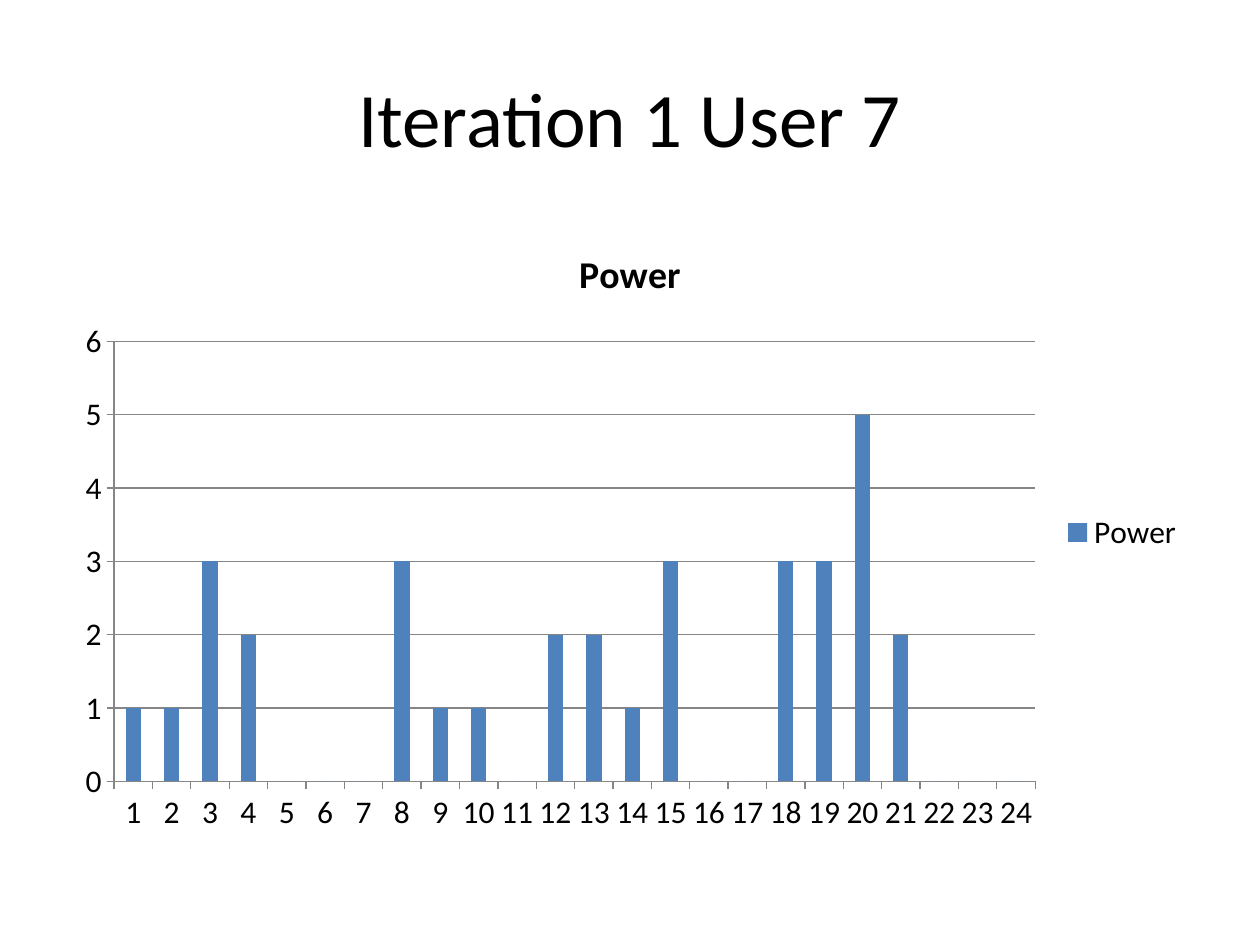
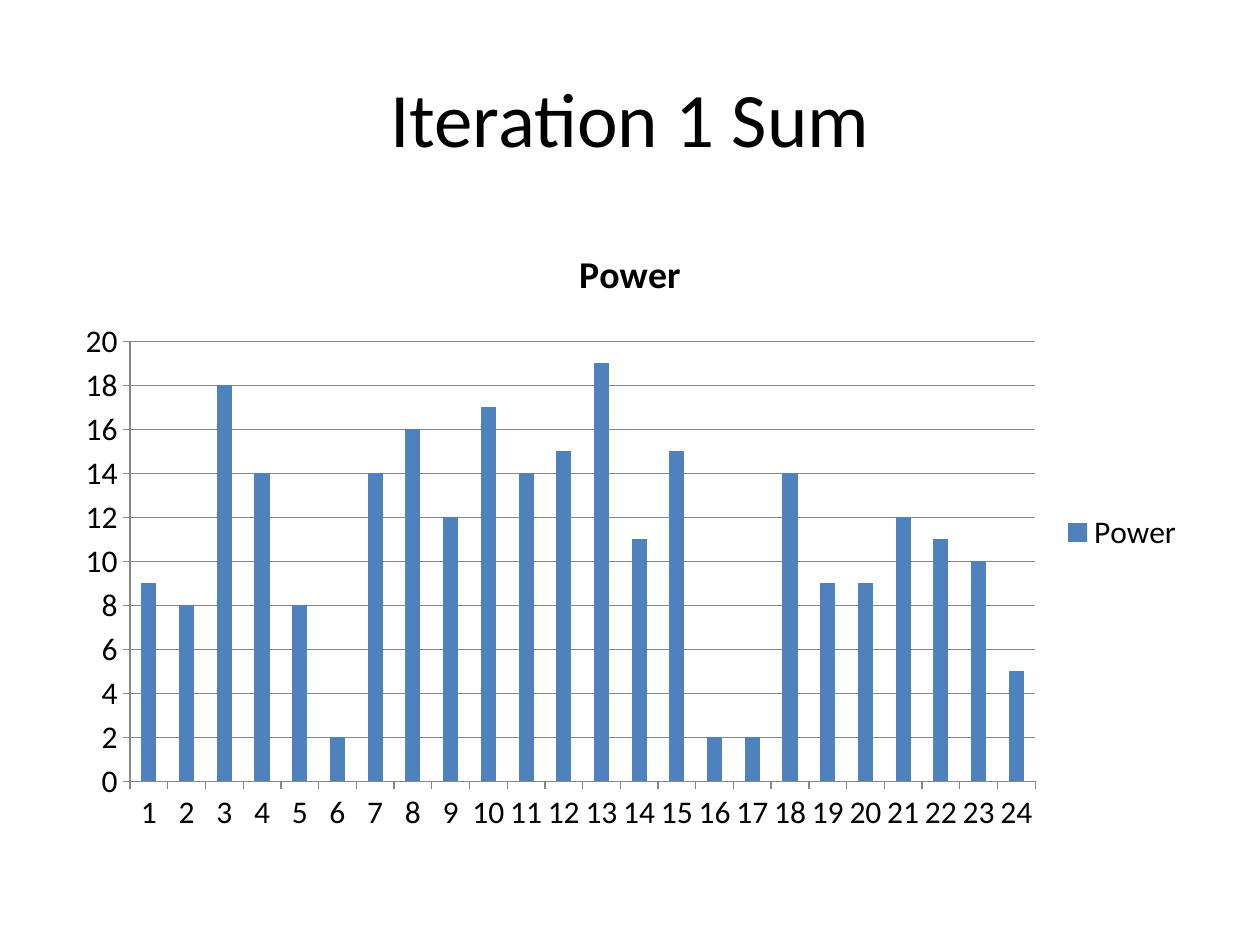
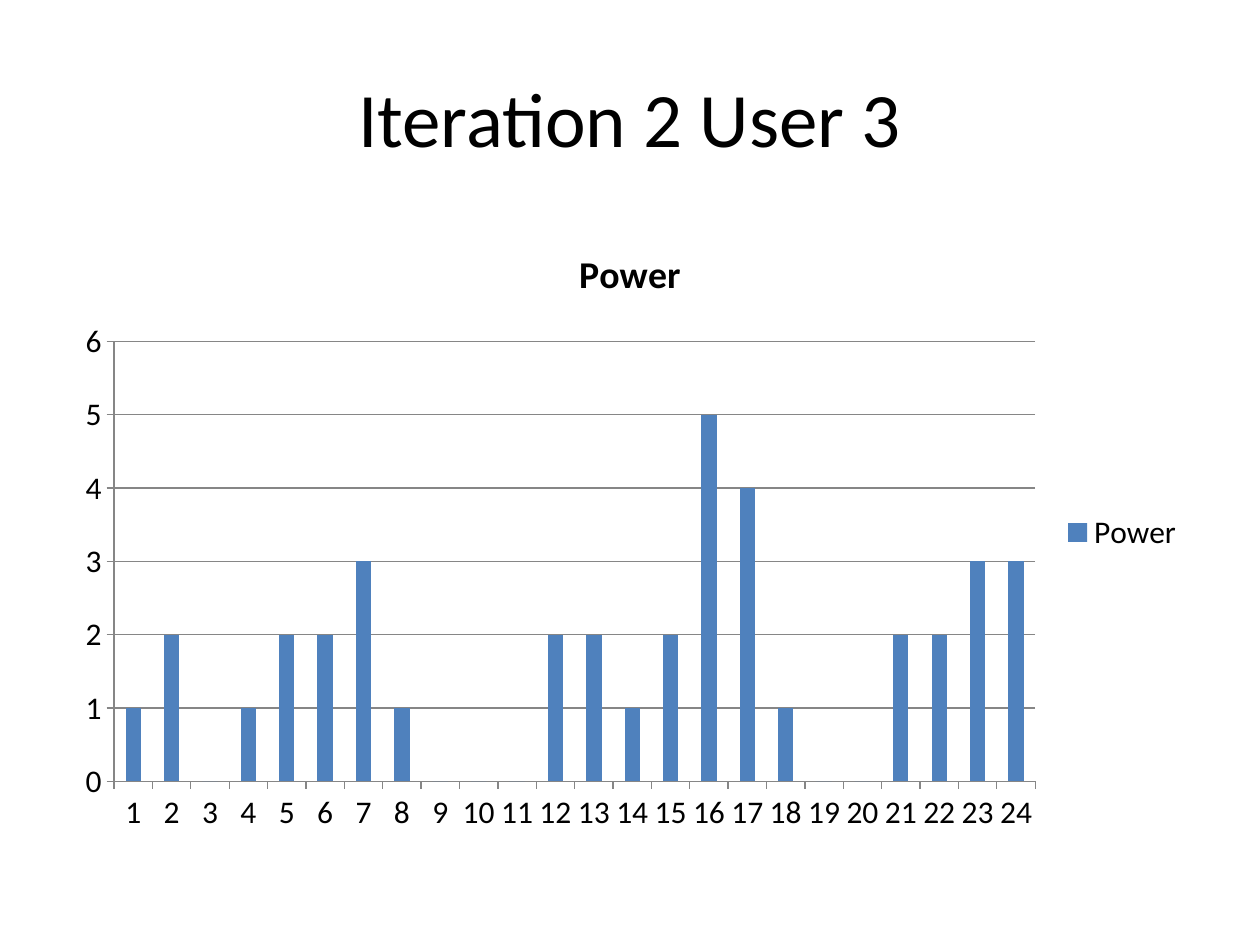
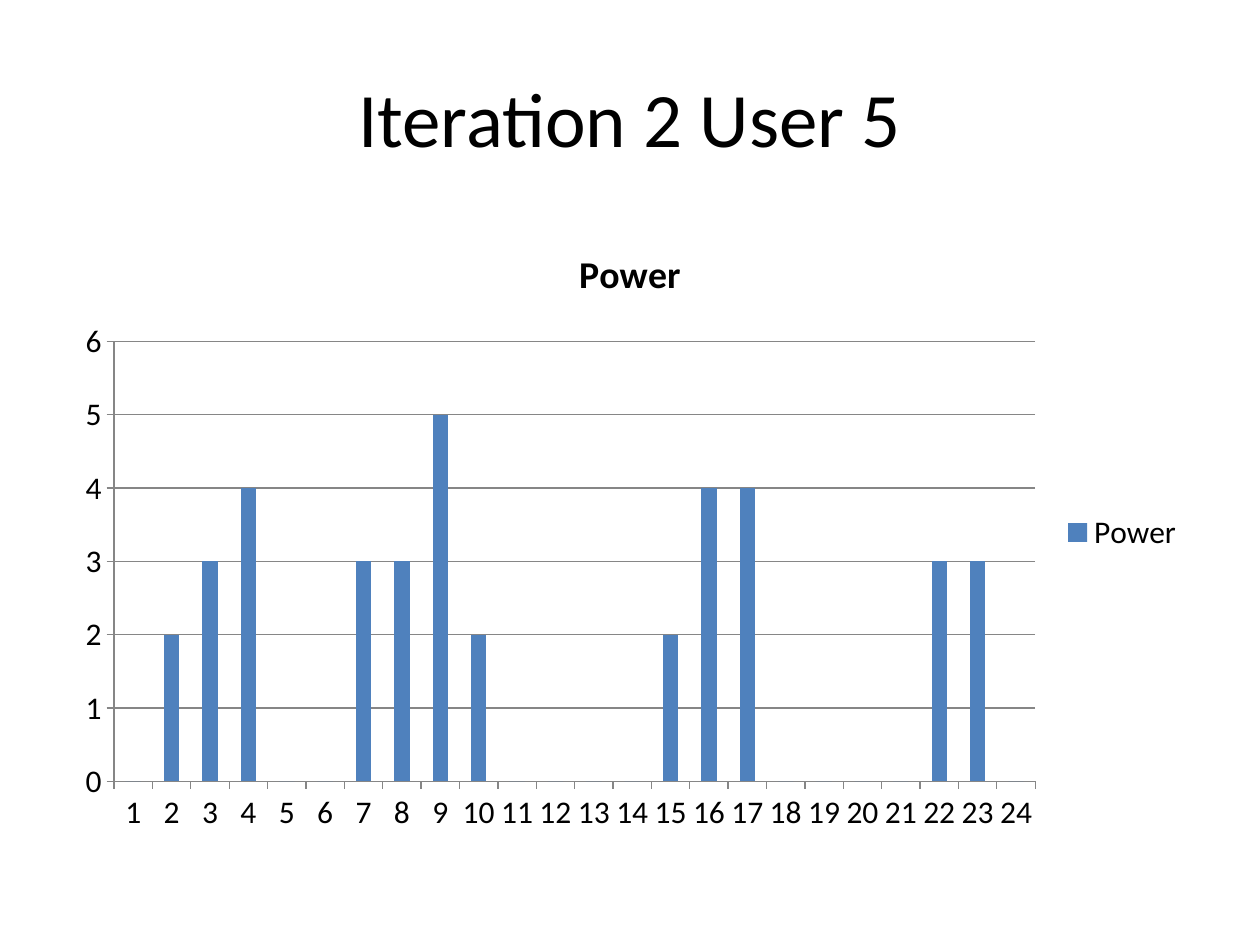
import pptx
import pptx.chart.data
import pptx.dml.color
import pptx.enum.chart
import pptx.enum.text
import pptx.util

Cm = pptx.util.Cm
Pt = pptx.util.Pt

COLORS = {"text": "000000", "bar": "4F81BD", "line": "868686", "back": "FFFFFF"}
FONT = "Calibri"
LEFT, WIDTH = Cm(1.27), Cm(22.86)
HOURS = [str(hour) for hour in range(1, 25)]

LOADS = {
    "Iteration 1 User 7":
        [1, 1, 3, 2, 0, 0, 0, 3, 1, 1, 0, 2, 2, 1, 3, 0, 0, 3, 3, 5, 2, 0, 0, 0],
    "Iteration 1 Sum":
        [9, 8, 18, 14, 8, 2, 14, 16, 12, 17, 14, 15,
         19, 11, 15, 2, 2, 14, 9, 9, 12, 11, 10, 5],
    "Iteration 2 User 3":
        [1, 2, 0, 1, 2, 2, 3, 1, 0, 0, 0, 2, 2, 1, 2, 5, 4, 1, 0, 0, 2, 2, 3, 3],
    "Iteration 2 User 5":
        [0, 2, 3, 4, 0, 0, 3, 3, 5, 2, 0, 0, 0, 0, 2, 4, 4, 0, 0, 0, 0, 3, 3, 0],
}


def color(name):
    return pptx.dml.color.RGBColor.from_string(COLORS[name])


def style(font, size, bold=False):
    font.name = FONT
    font.size = Pt(size)
    font.bold = bold
    font.color.rgb = color("text")


def write(frame, text, size=18, bold=False):
    """Fill a text frame with one centred paragraph."""
    par = frame.paragraphs[0]
    par.alignment = pptx.enum.text.PP_ALIGN.CENTER
    run = par.add_run()
    run.text = text
    style(run.font, size, bold)


def rule(line):
    line.color.rgb = color("line")
    line.width = Pt(0.75)


def add_title(slide, text):
    title = slide.shapes.title
    title.left, title.top = LEFT, Cm(0.76)
    title.width, title.height = WIDTH, Cm(3.18)
    title.text_frame.vertical_anchor = pptx.enum.text.MSO_ANCHOR.MIDDLE
    write(title.text_frame, text, size=44)


def style_axis(axis, grid):
    axis.major_tick_mark = pptx.enum.chart.XL_TICK_MARK.OUTSIDE
    axis.minor_tick_mark = pptx.enum.chart.XL_TICK_MARK.NONE
    axis.has_major_gridlines = grid
    rule(axis.format.line)
    if grid:
        rule(axis.major_gridlines.format.line)


def add_bars(slide, values):
    data = pptx.chart.data.CategoryChartData()
    data.categories = HOURS
    data.add_series("Power", values)
    kind = pptx.enum.chart.XL_CHART_TYPE.COLUMN_CLUSTERED
    chart = slide.shapes.add_chart(
        kind, LEFT, Cm(4.45), WIDTH, Cm(12.57), data).chart
    style(chart.font, 18)

    chart.has_title = True
    write(chart.chart_title.text_frame, "Power", size=21.6, bold=True)
    chart.chart_title.include_in_layout = False
    chart.has_legend = True
    chart.legend.position = pptx.enum.chart.XL_LEGEND_POSITION.RIGHT
    chart.legend.include_in_layout = False

    style_axis(chart.category_axis, grid=False)
    style_axis(chart.value_axis, grid=True)

    plot = chart.plots[0]
    plot.gap_width = 150
    plot.vary_by_categories = False
    fill = plot.series[0].format.fill
    fill.solid()
    fill.fore_color.rgb = color("bar")


def main():
    deck = pptx.Presentation()
    deck.slide_width, deck.slide_height = Cm(25.4), Cm(19.05)
    back = deck.slide_master.background.fill
    back.solid()
    back.fore_color.rgb = color("back")
    layout = deck.slide_layouts.get_by_name("Title Only")
    for title, values in LOADS.items():
        slide = deck.slides.add_slide(layout)
        add_title(slide, title)
        add_bars(slide, values)
    deck.save("out.pptx")


if __name__ == "__main__":
    main()
